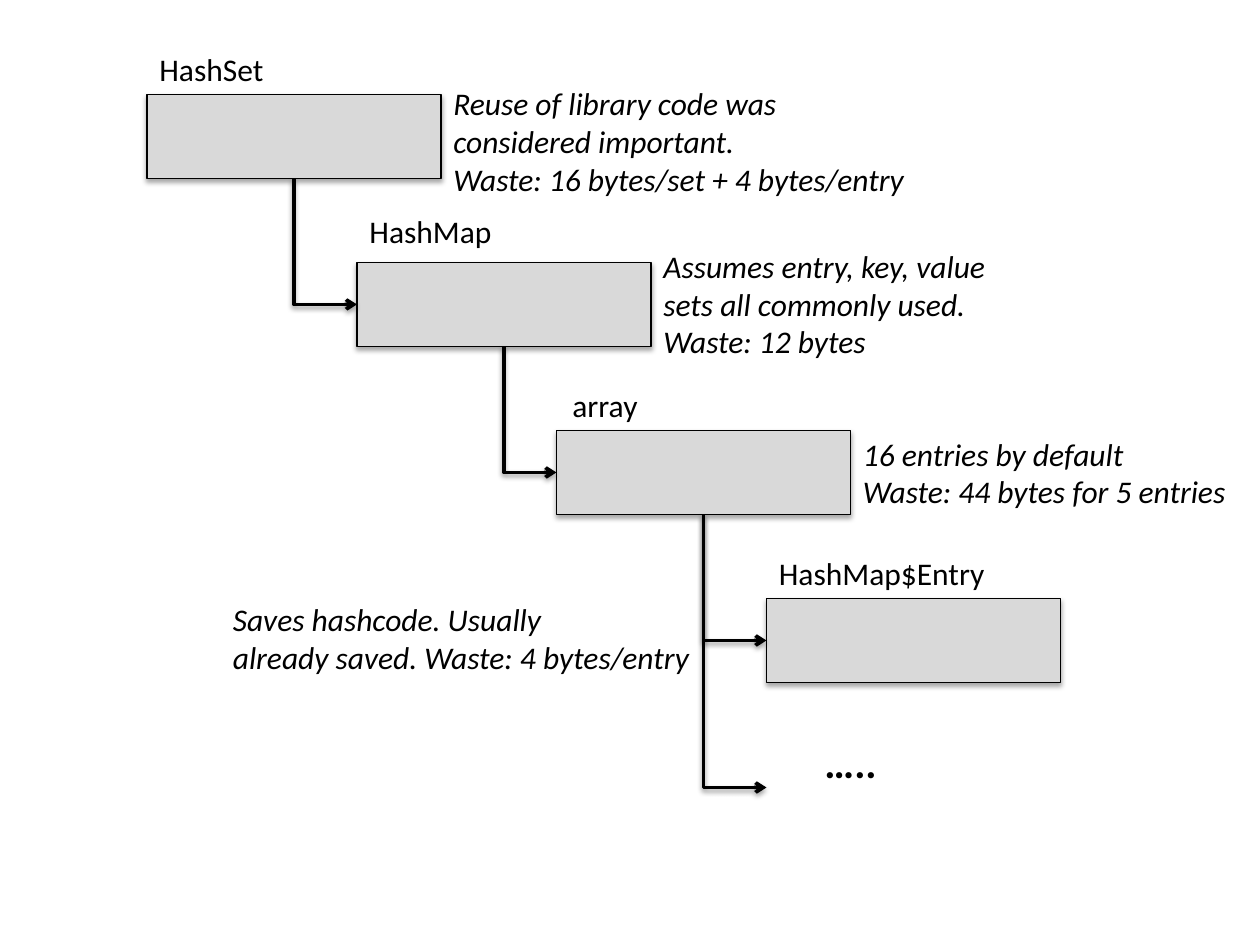
from lxml.etree import SubElement
from pptx import Presentation
from pptx.dml.color import RGBColor
from pptx.enum.shapes import MSO_CONNECTOR, MSO_SHAPE
from pptx.enum.text import MSO_AUTO_SIZE
from pptx.oxml.ns import qn
from pptx.util import Pt

BLACK = RGBColor(0x00, 0x00, 0x00)
GRAY = RGBColor(0xD9, 0xD9, 0xD9)
BOX_WIDTH, BOX_HEIGHT = 168, 48
NOTE_WIDTH = 360

prs = Presentation()
prs.slide_width, prs.slide_height = Pt(720), Pt(540)
slide = prs.slides.add_slide(prs.slide_layouts[6])


def add_text(text, left, top, width, height, size=18, bold=False, italic=False, wrap=False):
    frame = slide.shapes.add_textbox(Pt(left), Pt(top), Pt(width), Pt(height)).text_frame
    frame.word_wrap = wrap
    frame.auto_size = MSO_AUTO_SIZE.SHAPE_TO_FIT_TEXT
    frame.text = text
    for paragraph in frame.paragraphs:
        font = paragraph.font
        font.name, font.size = "Calibri", Pt(size)
        font.bold, font.italic = bold, italic
        font.color.rgb = BLACK


def add_shadow(effects, distance, opacity):
    """Put a soft black shadow, falling straight down, into an effect list."""
    shadow = SubElement(effects, qn("a:outerShdw"), blurRad=str(Pt(3.1)),
                        dist=str(Pt(distance)), dir="5400000", rotWithShape="0")
    color = SubElement(shadow, qn("a:srgbClr"), val=str(BLACK))
    SubElement(color, qn("a:alpha"), val=str(opacity * 1000))


# Name, box left, box top, label left, label top, label width
objects = [
    ("HashSet", 84, 54, 84, 25, 75),
    ("HashMap", 204, 150, 204, 117.5, 85),
    ("array", 318, 246, 320, 217, 52),
    ("HashMap$Entry", 438, 342, 438, 313, 133),
]
for name, left, top, label_left, label_top, label_width in objects:
    box = slide.shapes.add_shape(MSO_SHAPE.RECTANGLE, Pt(left), Pt(top),
                                 Pt(BOX_WIDTH), Pt(BOX_HEIGHT))
    box.fill.solid()
    box.fill.fore_color.rgb = GRAY
    box.line.color.rgb = BLACK
    box.line.width = Pt(0.75)
    box.shadow.inherit = False
    add_shadow(box._element.spPr.find(qn("a:effectLst")), 1.8, 35)
    add_text(name, label_left, label_top, label_width, 29)

# Each object points to the next; the array also points to further entries
corners = [(left, top) for _, left, top, *_ in objects]
targets = [(left, top + BOX_HEIGHT / 2) for left, top in corners[1:]] + [(438, 450)]
sources = corners[:3] + corners[2:3]
for (left, top), (end_x, end_y) in zip(sources, targets):
    start_x, start_y = left + BOX_WIDTH / 2, top + BOX_HEIGHT
    across, down = end_x - start_x, end_y - start_y
    middle_x, middle_y = start_x + across / 2, start_y + down / 2
    # The frame is laid on its side, then turned by 270 degrees
    arrow = slide.shapes.add_connector(
        MSO_CONNECTOR.ELBOW,
        Pt(middle_x + down / 2), Pt(middle_y - across / 2),
        Pt(middle_x - down / 2), Pt(middle_y + across / 2))
    arrow.line.color.rgb = BLACK
    arrow.line.width = Pt(2)
    properties = arrow._element.spPr
    properties.find(qn("a:xfrm")).set("rot", "16200000")
    properties.find(qn("a:prstGeom")).set("prst", "bentConnector2")
    SubElement(properties.find(qn("a:ln")), qn("a:tailEnd"), type="arrow")
    add_shadow(SubElement(properties, qn("a:effectLst")), 1.6, 38)

notes = [
    ("Reuse of library code was\nconsidered important.\n"
     "Waste: 16 bytes/set + 4 bytes/entry", 252, 44.6, 73),
    ("Assumes entry, key, value\nsets all commonly used.\nWaste: 12 bytes", 372, 137.5, 73),
    ("16 entries by default\nWaste: 44 bytes for 5 entries", 486, 244.8, 51),
    ("Saves hashcode. Usually\nalready saved. Waste: 4 bytes/entry", 126, 339.2, 51),
]
for note, left, top, height in notes:
    add_text(note, left, top, NOTE_WIDTH, height, italic=True, wrap=True)

add_text("…..", 464, 417.6, 44.6, 36, size=24, bold=True)

prs.save("out.pptx")
